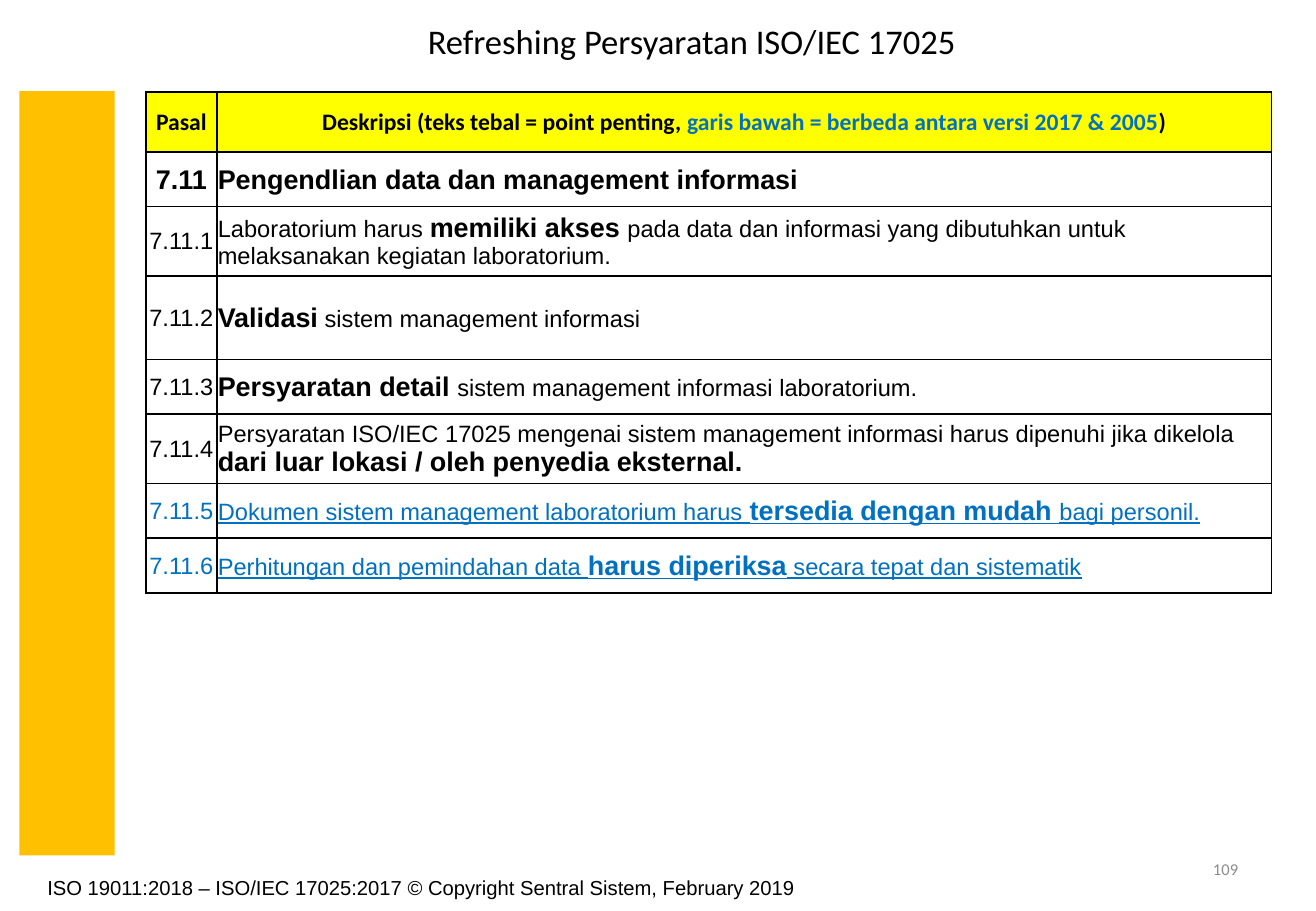
import pptx
import pptx.util
import pptx.dml.color
import pptx.enum.shapes
import pptx.enum.text
import pptx.oxml
import pptx.oxml.ns

Pt = pptx.util.Pt
RGBColor = pptx.dml.color.RGBColor
Align = pptx.enum.text.PP_ALIGN
Anchor = pptx.enum.text.MSO_ANCHOR

BLACK = RGBColor(0x00, 0x00, 0x00)
BLUE = RGBColor(0x00, 0x70, 0xC0)
GRAY = RGBColor(0x8C, 0x8C, 0x8C)
YELLOW = RGBColor(0xFF, 0xFF, 0x00)
AMBER = RGBColor(0xFF, 0xC0, 0x00)

HEAD = {"name": "Calibri", "size": Pt(14), "bold": True, "color": BLACK}
HEAD_BLUE = {**HEAD, "color": BLUE}
PLAIN = {"name": "Arial", "size": Pt(14), "bold": False, "color": BLACK}
STRONG = {**PLAIN, "size": Pt(16), "bold": True}
PLAIN_BLUE = {**PLAIN, "color": BLUE}
CHANGED = {**PLAIN_BLUE, "underline": True}
CHANGED_STRONG = {**STRONG, "color": BLUE, "underline": True}


def add_spans(para, spans):
    for text, formats in spans:
        span = para.add_run()
        span.text = text
        for key, value in formats.items():
            if key == "color":
                span.font.color.rgb = value
            else:
                setattr(span.font, key, value)


deck = pptx.Presentation()
deck.slide_width, deck.slide_height = Pt(780), Pt(540)
slide = deck.slides.add_slide(deck.slide_layouts[6])

bar = slide.shapes.add_shape(
    pptx.enum.shapes.MSO_SHAPE.RECTANGLE, Pt(11.5), Pt(54), Pt(56.5), Pt(453))
bar.shadow.inherit = False
bar.fill.solid()
bar.fill.fore_color.rgb = AMBER
bar.line.fill.background()

labels = [
    ("Refreshing Persyaratan ISO/IEC 17025", (246.5, 10.8, 376.5, 30.2),
     {"name": "Calibri", "size": Pt(20.5), "color": BLACK},
     {"alignment": Align.LEFT, "line_spacing": 0.9}, Anchor.MIDDLE),
    ("ISO 19011:2018 – ISO/IEC 17025:2017 © Copyright Sentral Sistem, February 2019",
     (21, 515, 468, 29), {"name": "Arial", "size": Pt(12), "color": BLACK},
     {"alignment": Align.LEFT}, Anchor.TOP),
    ("109", (558.5, 500.5, 182.5, 28.8),
     {"name": "Calibri", "size": Pt(9.8), "color": GRAY},
     {"alignment": Align.RIGHT}, Anchor.MIDDLE),
]
for text, place, formats, para_formats, anchor in labels:
    box = slide.shapes.add_textbox(*[Pt(length) for length in place])
    box.text_frame.word_wrap = True
    box.text_frame.vertical_anchor = anchor
    para = box.text_frame.paragraphs[0]
    for key, value in para_formats.items():
        setattr(para, key, value)
    add_spans(para, [(text, formats)])

clauses = [
    (35.5, ("Pasal", HEAD), [
        ("Deskripsi (teks tebal = point penting, ", HEAD),
        ("garis bawah = berbeda antara versi 2017 & 2005", HEAD_BLUE),
        (")", HEAD)]),
    (32.5, ("7.11", STRONG), [("Pengendlian data dan management informasi", STRONG)]),
    (41, ("7.11.1", PLAIN), [
        ("Laboratorium harus ", PLAIN),
        ("memiliki akses ", STRONG),
        ("pada data dan informasi yang dibutuhkan untuk "
         "melaksanakan kegiatan laboratorium.", PLAIN)]),
    (49.5, ("7.11.2", PLAIN), [
        ("Validasi", STRONG),
        (" sistem management informasi", PLAIN)]),
    (32.5, ("7.11.3", PLAIN), [
        ("Persyaratan detail ", STRONG),
        ("sistem management informasi laboratorium.", PLAIN)]),
    (41, ("7.11.4", PLAIN), [
        ("Persyaratan ISO/IEC 17025 mengenai sistem management informasi "
         "harus dipenuhi jika dikelola ", PLAIN),
        ("dari luar lokasi / oleh penyedia eksternal.", STRONG)]),
    (32.5, ("7.11.5", PLAIN_BLUE), [
        ("Dokumen sistem management laboratorium harus ", CHANGED),
        ("tersedia dengan mudah ", CHANGED_STRONG),
        ("bagi personil.", CHANGED)]),
    (32.5, ("7.11.6", PLAIN_BLUE), [
        ("Perhitungan dan pemindahan data ", CHANGED),
        ("harus diperiksa", CHANGED_STRONG),
        (" secara tepat dan sistematik", CHANGED)]),
]
CELL = {"margin_left": Pt(0.6), "margin_right": Pt(0.6), "margin_top": Pt(0.6),
        "margin_bottom": Pt(0), "vertical_anchor": Anchor.MIDDLE}

table = slide.shapes.add_table(
    len(clauses), 2, Pt(86.5), Pt(54.5), Pt(667), Pt(297)).table
table.first_row = False
table.horz_banding = False
table.columns[0].width = Pt(42)
table.columns[1].width = Pt(625)

for row, (height, number, description) in enumerate(clauses):
    table.rows[row].height = Pt(height)
    for column, spans in enumerate([[number], description]):
        cell = table.cell(row, column)
        for key, value in CELL.items():
            setattr(cell, key, value)
        properties = cell._tc.get_or_add_tcPr()
        for side in "LRTB":
            properties.append(pptx.oxml.parse_xml(
                f'<a:ln{side} {pptx.oxml.ns.nsdecls("a")} w="12700"><a:solidFill>'
                f'<a:srgbClr val="{BLACK}"/></a:solidFill></a:ln{side}>'))
        if row == 0:
            cell.fill.solid()
            cell.fill.fore_color.rgb = YELLOW
        else:
            cell.fill.background()
        para = cell.text_frame.paragraphs[0]
        para.alignment = Align.CENTER if row == 0 or column == 0 else Align.LEFT
        add_spans(para, spans)

deck.save("out.pptx")
